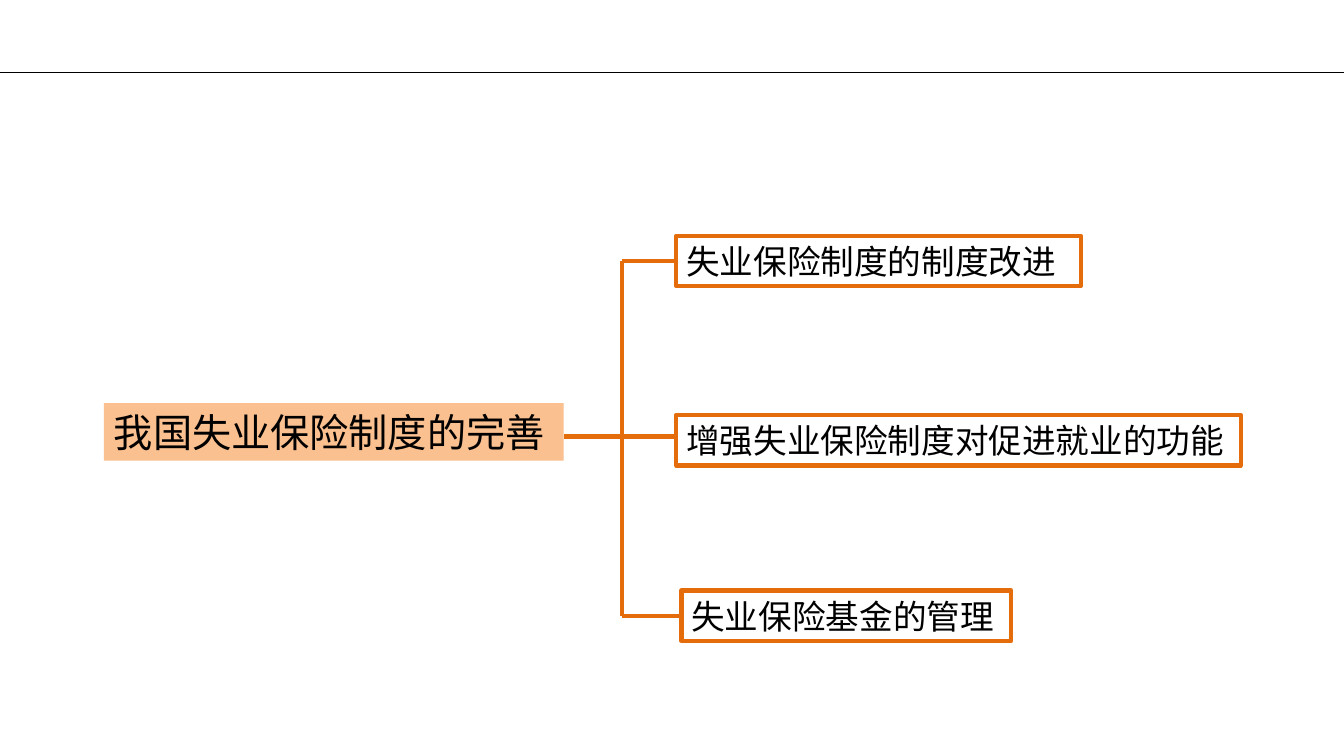
from dataclasses import dataclass

from lxml.etree import SubElement
from pptx import Presentation
from pptx.dml.color import RGBColor
from pptx.enum.shapes import MSO_CONNECTOR, MSO_SHAPE
from pptx.enum.text import MSO_ANCHOR, PP_ALIGN
from pptx.oxml.ns import qn
from pptx.util import Cm, Pt


@dataclass(frozen=True)
class Theme:
    font: str = "Noto Sans CJK SC"
    ink: RGBColor = RGBColor(0x00, 0x00, 0x00)
    topic_fill: RGBColor = RGBColor(0xFA, 0xC0, 0x90)
    accent: RGBColor = RGBColor(0xE4, 0x6C, 0x0A)
    topic_size: int = 28
    branch_size: int = 24
    rule_width: int = 1
    branch_width: int = 3


THEME = Theme()
SLIDE_WIDTH, SLIDE_HEIGHT = 33.86, 19.05
RULE_Y = 1.83
TOPIC_LEFT, TOPIC_TOP, TOPIC_WIDTH, TOPIC_HEIGHT = 2.62, 10.16, 11.58, 1.45
STEM_Y = 11
TRUNK_X = 15.67
BRANCH_HEIGHT = 1.27
BRANCHES = [
    ("失业保险制度的制度改进", 17.04, 5.94, 10.19),
    ("增强失业保险制度对促进就业的功能", 17.04, 10.46, 14.22),
    ("失业保险基金的管理", 17.17, 14.88, 8.31),
]


def write_text(shape, text, *, size, color=THEME.ink, font=THEME.font):
    frame = shape.text_frame
    frame.word_wrap = True
    frame.vertical_anchor = MSO_ANCHOR.MIDDLE
    frame.margin_left = frame.margin_right = Cm(0.25)
    frame.margin_top = frame.margin_bottom = Cm(0)
    paragraph = frame.paragraphs[0]
    paragraph.alignment = PP_ALIGN.LEFT
    run = paragraph.add_run()
    run.text = text
    run.font.size = Pt(size)
    run.font.color.rgb = color
    run.font.name = font
    properties = run.font._element
    SubElement(properties, qn("a:ea")).set("typeface", font)


def add_box(slide, text, left, top, width, height, *, size, fill=None, outline=None):
    shape = slide.shapes.add_shape(
        MSO_SHAPE.RECTANGLE, Cm(left), Cm(top), Cm(width), Cm(height)
    )
    shape.shadow.inherit = False
    if fill is None:
        shape.fill.background()
    else:
        shape.fill.solid()
        shape.fill.fore_color.rgb = fill
    if outline is None:
        shape.line.fill.background()
    else:
        shape.line.color.rgb = outline
        shape.line.width = Pt(THEME.branch_width)
    write_text(shape, text, size=size)
    return shape


def add_line(slide, start, end, *, color=THEME.accent, width=THEME.branch_width):
    connector = slide.shapes.add_connector(
        MSO_CONNECTOR.STRAIGHT, *(Cm(value) for value in (*start, *end))
    )
    connector.line.color.rgb = color
    connector.line.width = Pt(width)
    SubElement(connector._element.spPr, qn("a:effectLst"))
    return connector


def add_branch(slide, text, left, top, width):
    return add_box(
        slide, text, left, top, width, BRANCH_HEIGHT,
        size=THEME.branch_size, outline=THEME.accent,
    )


def add_outer_branch(slide, text, left, top, width):
    box = add_branch(slide, text, left, top, width)
    middle = top + BRANCH_HEIGHT / 2
    add_line(slide, (TRUNK_X, middle), (left, middle)).end_connect(box, 1)
    return middle


def main():
    presentation = Presentation()
    presentation.slide_width = Cm(SLIDE_WIDTH)
    presentation.slide_height = Cm(SLIDE_HEIGHT)
    slide = presentation.slides.add_slide(presentation.slide_layouts[6])

    add_line(
        slide, (0, RULE_Y), (SLIDE_WIDTH, RULE_Y),
        color=THEME.ink, width=THEME.rule_width,
    )
    add_box(
        slide, "我国失业保险制度的完善",
        TOPIC_LEFT, TOPIC_TOP, TOPIC_WIDTH, TOPIC_HEIGHT,
        size=THEME.topic_size, fill=THEME.topic_fill,
    )

    upper, central, lower = BRANCHES
    trunk_top = add_outer_branch(slide, *upper)
    add_branch(slide, *central)
    trunk_bottom = add_outer_branch(slide, *lower)
    add_line(slide, (TOPIC_LEFT + TOPIC_WIDTH, STEM_Y), (TRUNK_X, STEM_Y))
    add_line(slide, (TRUNK_X, STEM_Y), (central[1], STEM_Y))
    add_line(slide, (TRUNK_X, trunk_bottom), (TRUNK_X, trunk_top))

    presentation.save("out.pptx")


if __name__ == "__main__":
    main()
